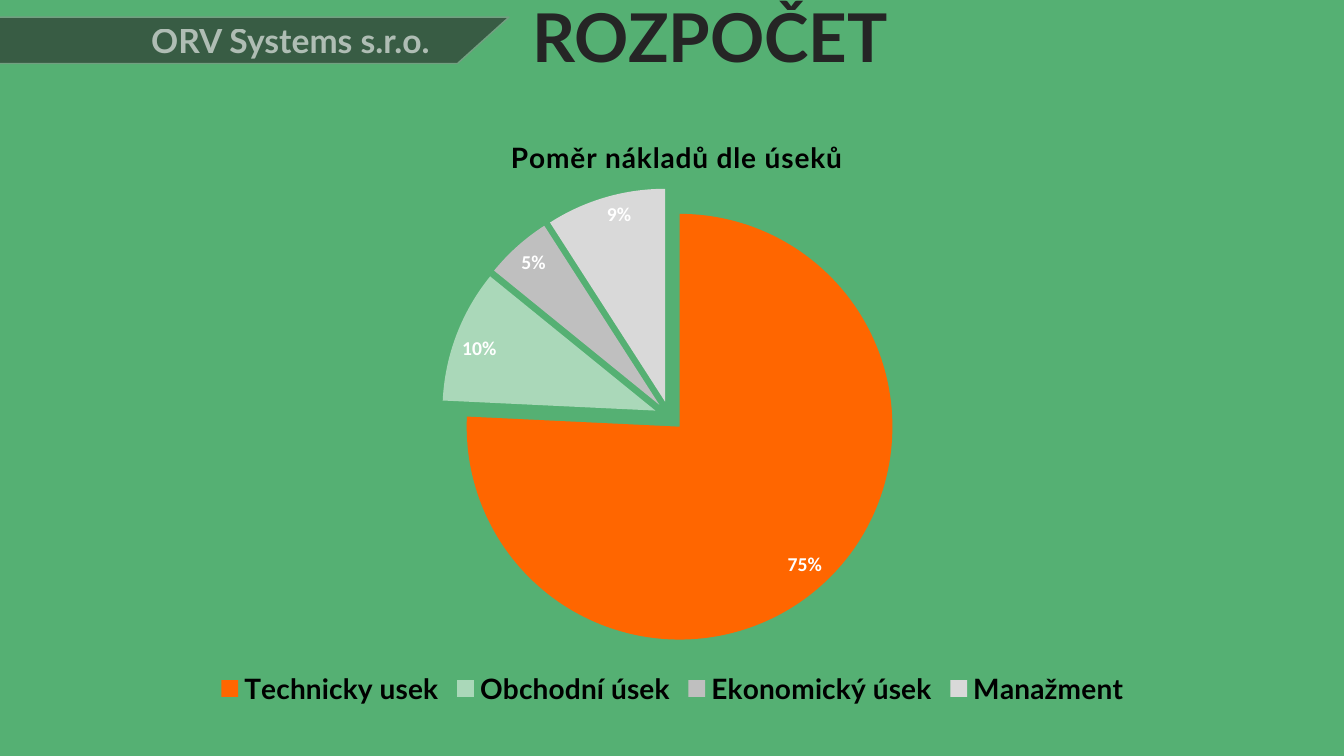
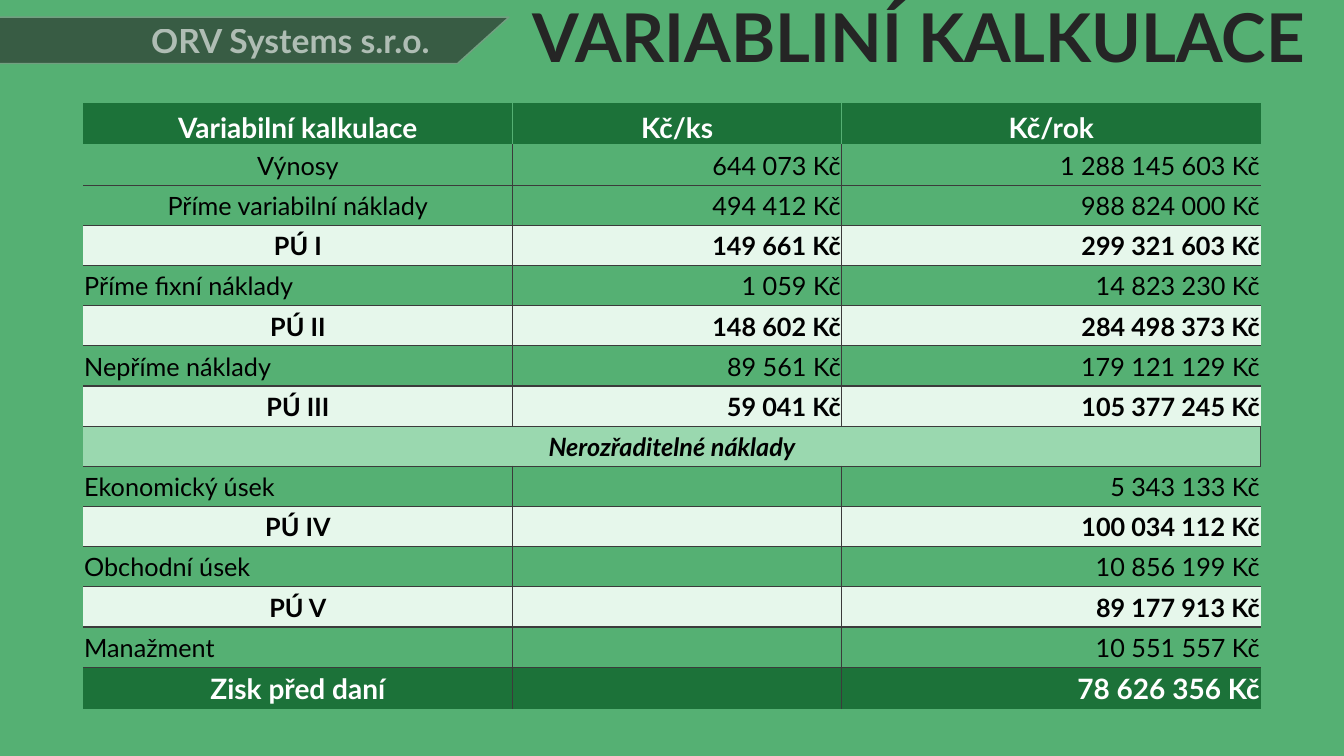
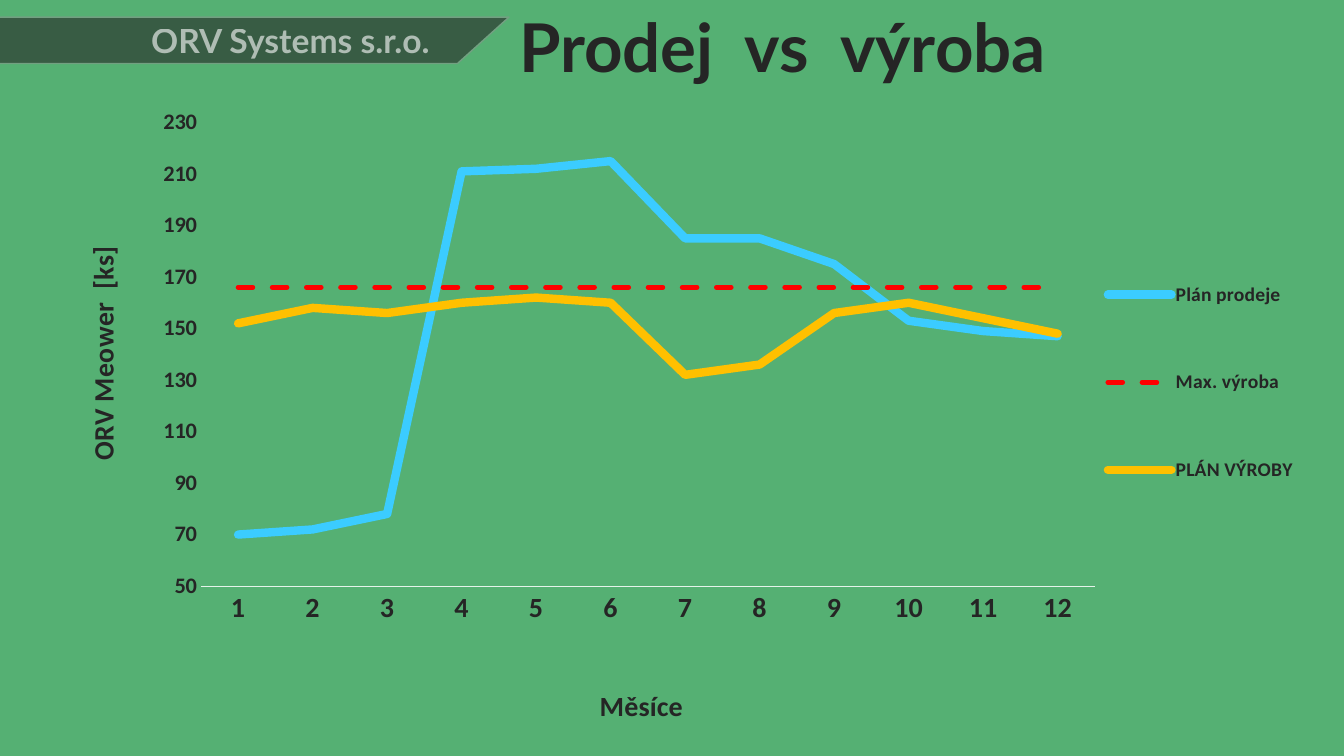
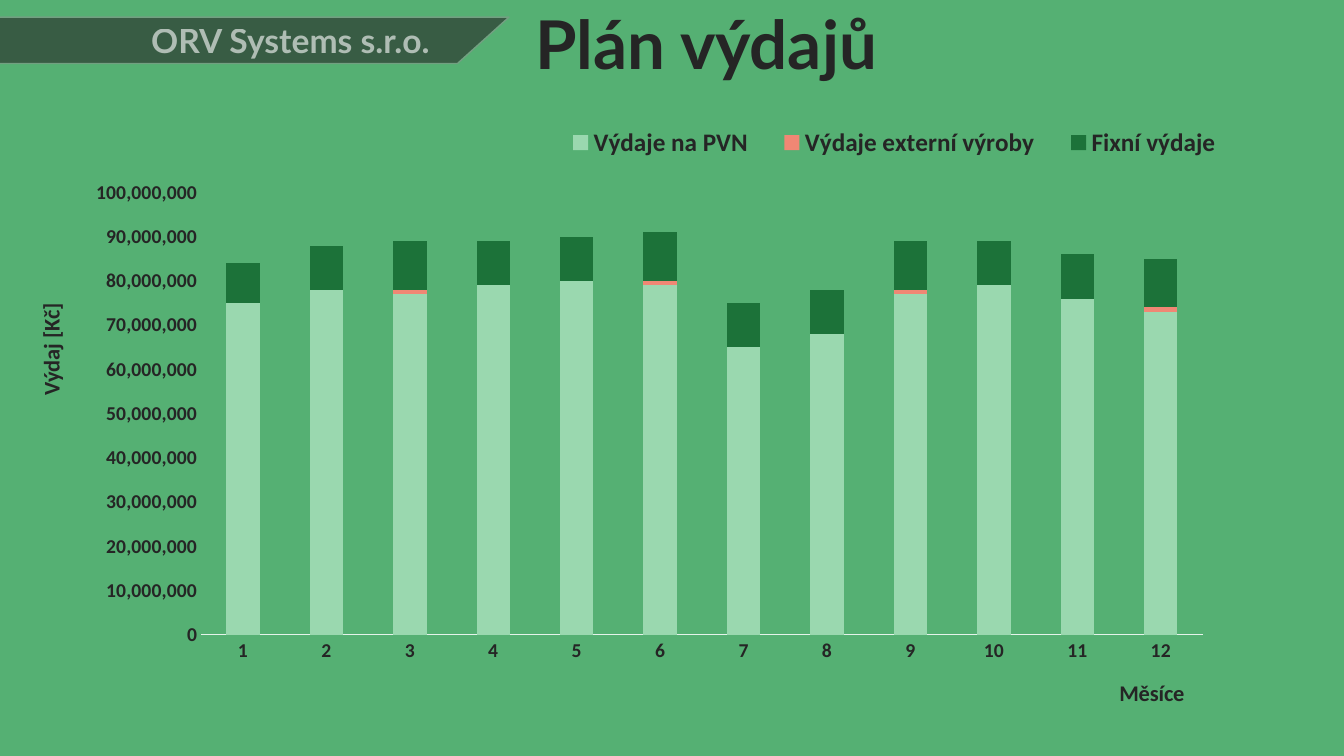
from dataclasses import dataclass

from lxml import etree
from pptx import Presentation
from pptx.chart.data import CategoryChartData
from pptx.dml.color import RGBColor
from pptx.enum.chart import XL_CHART_TYPE, XL_LABEL_POSITION, XL_LEGEND_POSITION, XL_TICK_MARK
from pptx.enum.dml import MSO_LINE
from pptx.enum.shapes import MSO_SHAPE
from pptx.enum.text import MSO_ANCHOR, MSO_AUTO_SIZE, PP_ALIGN
from pptx.oxml.ns import qn
from pptx.util import Pt

LEFT, CENTER, RIGHT = PP_ALIGN.LEFT, PP_ALIGN.CENTER, PP_ALIGN.RIGHT
MIDDLE, BOTTOM = MSO_ANCHOR.MIDDLE, MSO_ANCHOR.BOTTOM
PIE, LINE, STACKED = XL_CHART_TYPE.PIE, XL_CHART_TYPE.LINE, XL_CHART_TYPE.COLUMN_STACKED
LEGEND_BOTTOM, LEGEND_RIGHT, LEGEND_TOP = (
    XL_LEGEND_POSITION.BOTTOM, XL_LEGEND_POSITION.RIGHT, XL_LEGEND_POSITION.TOP)
TITLE_ONLY = 5


@dataclass(frozen=True)
class Theme:
    background: str = "55B073"
    ink: str = "252525"
    black: str = "000000"
    white: str = "FFFFFF"
    band_line: str = "72A081"
    axis_line: str = "E5F3EA"
    rule: str = "3B3B3B"
    dark_green: str = "1C7239"
    light_green: str = "9AD8AF"
    pale_green: str = "E6F7EB"
    mint: str = "AAD8B9"
    gray: str = "BFBFBF"
    light_gray: str = "D9D9D9"
    orange: str = "FF6600"
    blue: str = "3BCCFF"
    red: str = "FF0000"
    yellow: str = "FFC000"
    coral: str = "F08774"
    text_font: str = "Lato"
    chart_font: str = "Calibri"
    title_size: int = 48
    band_size: int = 24
    large_size: int = 20
    body_size: int = 18
    axis_size: int = 16
    label_size: int = 14
    base_size: int = 10


THEME = Theme()
MONTHS = [str(month) for month in range(1, 13)]
TABLE_ROWS = [
    ("header", "Variabilní kalkulace", "Kč/ks", "Kč/rok"),
    ("centered", "Výnosy", "644 073 Kč", "1 288 145 603 Kč"),
    ("centered", "Příme variabilní náklady", "494 412 Kč", "988 824 000 Kč"),
    ("subtotal", "PÚ I", "149 661 Kč", "299 321 603 Kč"),
    ("plain", "Příme fixní náklady", "1 059 Kč", "14 823 230 Kč"),
    ("subtotal", "PÚ II", "148 602 Kč", "284 498 373 Kč"),
    ("plain", "Nepříme náklady", "89 561 Kč", "179 121 129 Kč"),
    ("subtotal", "PÚ III", "59 041 Kč", "105 377 245 Kč"),
    ("section", "Nerozřaditelné náklady", "", ""),
    ("plain", "Ekonomický úsek", "", "5 343 133 Kč"),
    ("subtotal", "PÚ IV", "", "100 034 112 Kč"),
    ("plain", "Obchodní úsek", "", "10 856 199 Kč"),
    ("subtotal", "PÚ V", "", "89 177 913 Kč"),
    ("plain", "Manažment", "", "10 551 557 Kč"),
    ("total", "Zisk před daní", "", "78 626 356 Kč"),
]
ROW_FILLS = {
    "header": THEME.dark_green, "total": THEME.dark_green,
    "subtotal": THEME.pale_green, "section": THEME.light_green,
}


def rgb(color):
    return RGBColor.from_string(color)


def style_font(font, size, color=THEME.ink, name=THEME.chart_font, bold=True, italic=False):
    font.name = name
    font.size = Pt(size)
    font.bold = bold
    font.italic = italic
    font.color.rgb = rgb(color)


def write_text(text_frame, text, align=LEFT, line_spacing=None, **font_format):
    paragraph = text_frame.paragraphs[0]
    paragraph.alignment = align
    if line_spacing:
        paragraph.line_spacing = line_spacing
    run = paragraph.add_run()
    run.text = text
    style_font(run.font, **font_format)
    return run


def add_band(slide, layout):
    band = slide.shapes.add_shape(
        MSO_SHAPE.PARALLELOGRAM, Pt(-46.8), Pt(12.24), Pt(410.4), Pt(33.12))
    band.adjustments[0] = 1.11
    band.shadow.inherit = False
    band.fill.solid()
    band.fill.fore_color.rgb = rgb(THEME.ink)
    band.line.color.rgb = rgb(THEME.band_line)
    band.line.width = Pt(1)
    band.text_frame.vertical_anchor = MIDDLE
    write_text(band.text_frame, "ORV Systems s.r.o.", align=RIGHT,
               size=THEME.band_size, color=THEME.white, name=THEME.text_font)
    for color in band.element.xpath(
            "./p:spPr/a:solidFill/a:srgbClr | .//a:rPr/a:solidFill/a:srgbClr"):
        etree.SubElement(color, qn("a:alpha")).set("val", "60000")
    band.element.xpath(".//p:cNvPr")[0].set("id", "20")
    layout.shapes.element.append(band.element)


def add_titled_slide(presentation, text, left, top, width=569.5):
    slide = presentation.slides.add_slide(presentation.slide_layouts[TITLE_ONLY])
    title = slide.shapes.title
    title.left, title.top, title.width, title.height = Pt(left), Pt(top), Pt(width), Pt(67.7)
    title.text_frame.auto_size = MSO_AUTO_SIZE.NONE
    title.text_frame.vertical_anchor = MIDDLE
    write_text(title.text_frame, text, line_spacing=0.9, size=THEME.title_size,
               name=THEME.text_font)
    return slide


def set_cell_borders(cell, colors):
    properties = cell._tc.get_or_add_tcPr()
    for side, color in zip("LRTB", colors):
        line = etree.SubElement(properties, qn(f"a:ln{side}"), w=str(Pt(1)))
        if color:
            fill = etree.SubElement(line, qn("a:solidFill"))
            etree.SubElement(fill, qn("a:srgbClr"), val=color)
        else:
            etree.SubElement(line, qn("a:noFill"))


def border_colors(row, column):
    inner = THEME.background if row == 0 else THEME.rule
    top = THEME.background if row == 1 else THEME.rule
    return (
        inner if column > 0 else None,
        inner if column < 2 else None,
        top if row > 0 else None,
        inner if row < len(TABLE_ROWS) - 1 else None,
    )


def fill_cell(cell, kind, column, text):
    cell.margin_left = cell.margin_right = cell.margin_top = Pt(0.75)
    cell.margin_bottom = 0
    cell.vertical_anchor = BOTTOM if kind == "header" else MIDDLE
    if kind in ROW_FILLS:
        cell.fill.solid()
        cell.fill.fore_color.rgb = rgb(ROW_FILLS[kind])
    else:
        cell.fill.background()
    if not text:
        return
    strong = kind in ("header", "total")
    if column and kind != "header":
        align = RIGHT
    else:
        align = LEFT if kind == "plain" else CENTER
    write_text(cell.text_frame, text, align=align, name=THEME.text_font,
               size=THEME.large_size if strong else THEME.body_size,
               color=THEME.white if strong else THEME.black,
               bold=kind in ROW_FILLS, italic=kind == "section")


def add_calculation_table(slide):
    widths = (306.7, 235.2, 299.3)
    heights = [30 if row[0] in ("header", "total") else 28.7 for row in TABLE_ROWS]
    table = slide.shapes.add_table(
        len(heights), len(widths), Pt(59.4), Pt(73.6), Pt(sum(widths)), Pt(sum(heights))).table
    table.first_row = table.horz_banding = False
    for column, width in zip(table.columns, widths):
        column.width = Pt(width)
    for index, (kind, *texts) in enumerate(TABLE_ROWS):
        table.rows[index].height = Pt(heights[index])
        for column, text in enumerate(texts):
            cell = table.cell(index, column)
            set_cell_borders(cell, border_colors(index, column))
            fill_cell(cell, kind, column, text)
        if kind == "section":
            table.cell(index, 0).merge(table.cell(index, 2))


def place(chart, query, x, y, width=None, height=None):
    element = chart.element.xpath(query)[0]
    for old in element.findall(qn("c:layout")):
        element.remove(old)
    layout = etree.Element(qn("c:layout"))
    manual = etree.SubElement(layout, qn("c:manualLayout"))
    values = [("xMode", "edge"), ("yMode", "edge"), ("x", x), ("y", y)]
    if width:
        values += [("w", width), ("h", height)]
    if element.tag == qn("c:plotArea"):
        values.insert(0, ("layoutTarget", "inner"))
    for tag, value in values:
        etree.SubElement(manual, qn(f"c:{tag}")).set("val", str(value))
    overlay = element.find(qn("c:overlay"))
    if overlay is None:
        element.insert(0, layout)
    else:
        overlay.addprevious(layout)


def add_chart(slide, kind, box, categories, series, plot_box, legend_position, legend_font,
              number_format="General"):
    data = CategoryChartData(number_format=number_format)
    data.categories = categories
    for name, values in series:
        data.add_series(name, values)
    chart = slide.shapes.add_chart(kind, *map(Pt, box), data).chart
    chart.has_title = False
    chart.font.name = THEME.chart_font
    chart.font.size = Pt(THEME.base_size)
    chart.font.color.rgb = rgb(THEME.background)
    chart.has_legend = True
    chart.legend.position = legend_position
    chart.legend.include_in_layout = False
    style_font(chart.legend.font, **legend_font)
    chart.plots[0].vary_by_categories = kind == PIE
    place(chart, ".//c:plotArea", *plot_box)
    return chart


def style_axis(chart, axis, tag, title, title_place, title_size, label_size):
    axis.has_major_gridlines = False
    axis.major_tick_mark = axis.minor_tick_mark = XL_TICK_MARK.NONE
    style_font(axis.tick_labels.font, size=label_size)
    write_text(axis.axis_title.text_frame, title, align=CENTER, size=title_size)
    place(chart, f".//c:{tag}/c:title", *title_place)


def style_axes(chart, category_title, category_place, value_title, value_place, title_size,
               category_size, value_size, scale, number_format):
    category_axis, value_axis = chart.category_axis, chart.value_axis
    style_axis(chart, category_axis, "catAx", category_title, category_place, title_size,
               category_size)
    style_axis(chart, value_axis, "valAx", value_title, value_place, title_size, value_size)
    category_axis.format.line.color.rgb = rgb(THEME.axis_line)
    category_axis.format.line.width = Pt(0.75)
    value_axis.format.line.fill.background()
    value_axis.minimum_scale, value_axis.maximum_scale, value_axis.major_unit = scale
    value_axis.tick_labels.number_format = number_format
    value_axis.tick_labels.number_format_is_linked = False
    chart.element.xpath(".//c:valAx/c:title//a:bodyPr")[0].set("rot", "-5400000")


def add_cost_pie(slide):
    chart = add_chart(
        slide, PIE, (46.1, 75.6, 868.3, 432.7),
        ["Technicky usek", "Obchodní úsek", "Ekonomický úsek", "Manažment"],
        [("Series 1", (75, 10, 5, 9))], (0.31, 0.136, 0.375, 0.752), LEGEND_BOTTOM,
        dict(size=THEME.large_size, color=THEME.black, name=THEME.text_font))
    chart.has_title = True
    run = write_text(chart.chart_title.text_frame, "Poměr nákladů dle úseků", align=CENTER,
                     size=THEME.large_size, color=THEME.black, name=THEME.text_font)
    run._r.get_or_add_rPr().set("spc", "50")
    place(chart, "./c:chart/c:title", 0.363, 0.043)
    series = chart.plots[0].series[0]
    series.format.line.fill.background()
    explosion = etree.Element(qn("c:explosion"), val="7")
    series._element.find(qn("c:spPr")).addnext(explosion)
    for index, color in enumerate((THEME.orange, THEME.mint, THEME.gray, THEME.light_gray)):
        point = series.points[index]
        point.format.fill.solid()
        point.format.fill.fore_color.rgb = rgb(color)
        point.format.line.fill.background()
    labels = series.data_labels
    labels.show_value = True
    labels.number_format = '0"%"'
    labels.number_format_is_linked = False
    labels.position = XL_LABEL_POSITION.INSIDE_END
    style_font(labels.font, size=THEME.label_size, color=THEME.white)


def add_sales_lines(slide):
    chart = add_chart(
        slide, LINE, (46.8, 77.8, 887, 445), MONTHS,
        [("Plán prodeje", (70, 72, 78, 211, 212, 215, 185, 185, 175, 153, 149, 147)),
         ("Max. výroba", [166] * len(MONTHS)),
         ("PLÁN VÝROBY", (152, 158, 156, 160, 162, 160, 132, 136, 156, 160, 154, 148))],
        (0.109, 0.013, 0.72, 0.753), LEGEND_RIGHT, dict(size=THEME.label_size))
    place(chart, ".//c:legend", 0.833, 0.17, 0.162, 0.53)
    style_axes(chart, "Měsíce", (0.426, 0.92), "ORV Meower  [ks]", (0.01, 0.21),
               THEME.large_size, THEME.large_size, THEME.axis_size, (50, 230, 20), "0")
    styles = ((THEME.blue, 6, None), (THEME.red, 3.5, MSO_LINE.DASH), (THEME.yellow, 6, None))
    for series, (color, width, dash) in zip(chart.plots[0].series, styles):
        series.smooth = False
        line = series.format.line
        line.color.rgb = rgb(color)
        line.width = Pt(width)
        if dash:
            line.dash_style = dash
        series._element.xpath("./c:spPr/a:ln")[0].set("cap", "rnd")


def add_expense_columns(slide):
    million = 1_000_000
    amounts = [
        ("Výdaje na PVN", (75, 78, 77, 79, 80, 79, 65, 68, 77, 79, 76, 73)),
        ("Výdaje externí výroby", (0, 0, 1, 0, 0, 1, 0, 0, 1, 0, 0, 1)),
        ("Fixní výdaje", (9, 10, 11, 10, 10, 11, 10, 10, 11, 10, 10, 11)),
    ]
    chart = add_chart(
        slide, STACKED, (0, 67.7, 915.8, 456.5), MONTHS,
        [(name, [value * million for value in values]) for name, values in amounts],
        (0.157, 0.153, 0.781, 0.692), LEGEND_TOP, dict(size=THEME.body_size), "#,##0")
    place(chart, ".//c:legend", 0.425, 0.045, 0.545, 0.06)
    style_axes(chart, "Měsíce", (0.87, 0.906), "Výdaj [Kč]", (0.025, 0.32), THEME.axis_size,
               THEME.label_size, THEME.label_size, (0, 100 * million, 10 * million), "#,##0")
    plot = chart.plots[0]
    plot.gap_width, plot.overlap = 150, 100
    for series, color in zip(plot.series, (THEME.light_green, THEME.coral, THEME.dark_green)):
        series.format.fill.solid()
        series.format.fill.fore_color.rgb = rgb(color)


def main():
    presentation = Presentation()
    presentation.slide_width, presentation.slide_height = Pt(960), Pt(540)
    background = presentation.slide_master.background.fill
    background.solid()
    background.fore_color.rgb = rgb(THEME.background)

    budget = add_titled_slide(presentation, "ROZPOČET", 373, -5)
    add_band(budget, presentation.slide_layouts[TITLE_ONLY])
    add_cost_pie(budget)
    add_calculation_table(
        add_titled_slide(presentation, "VARIABLINÍ KALKULACE", 373, -5, width=595.4))
    add_sales_lines(add_titled_slide(presentation, "Prodej  vs  výroba", 363.6, 2.2))
    add_expense_columns(add_titled_slide(presentation, "Plán výdajů", 375.1, 0))
    presentation.save("out.pptx")


if __name__ == "__main__":
    main()
